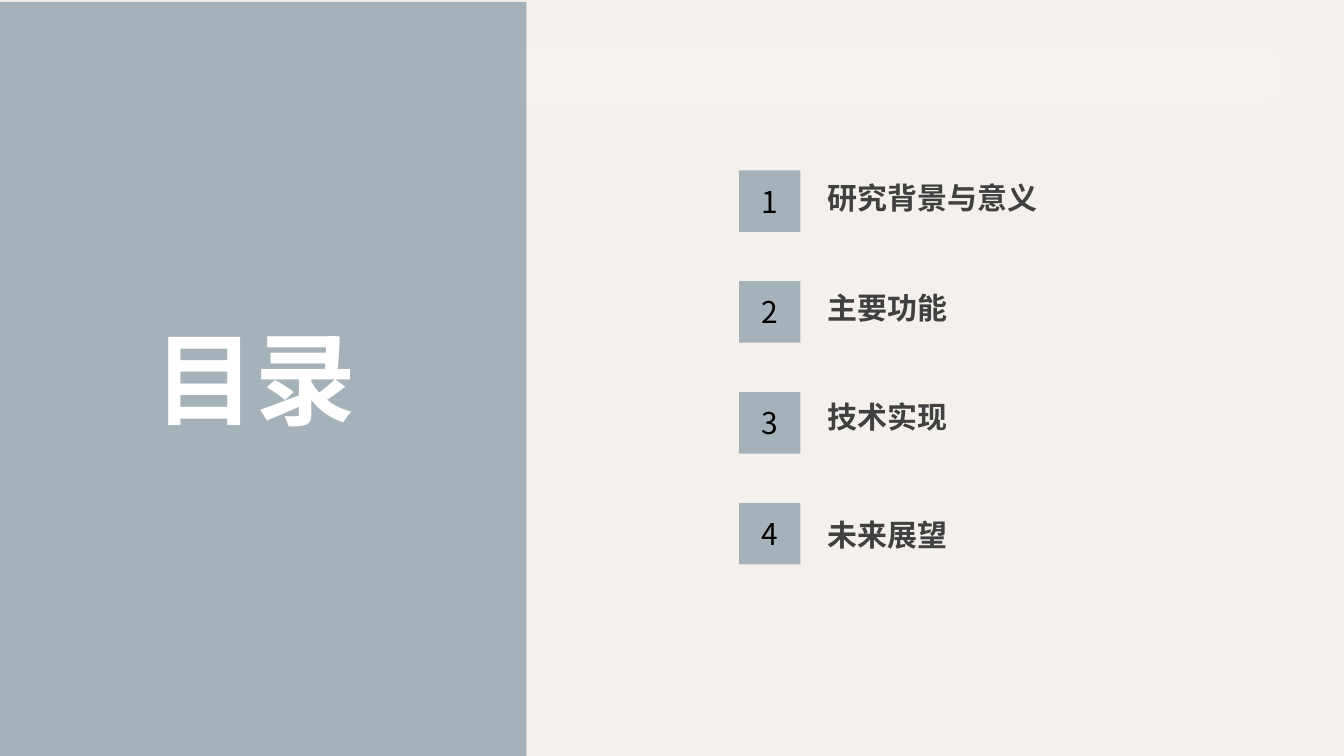
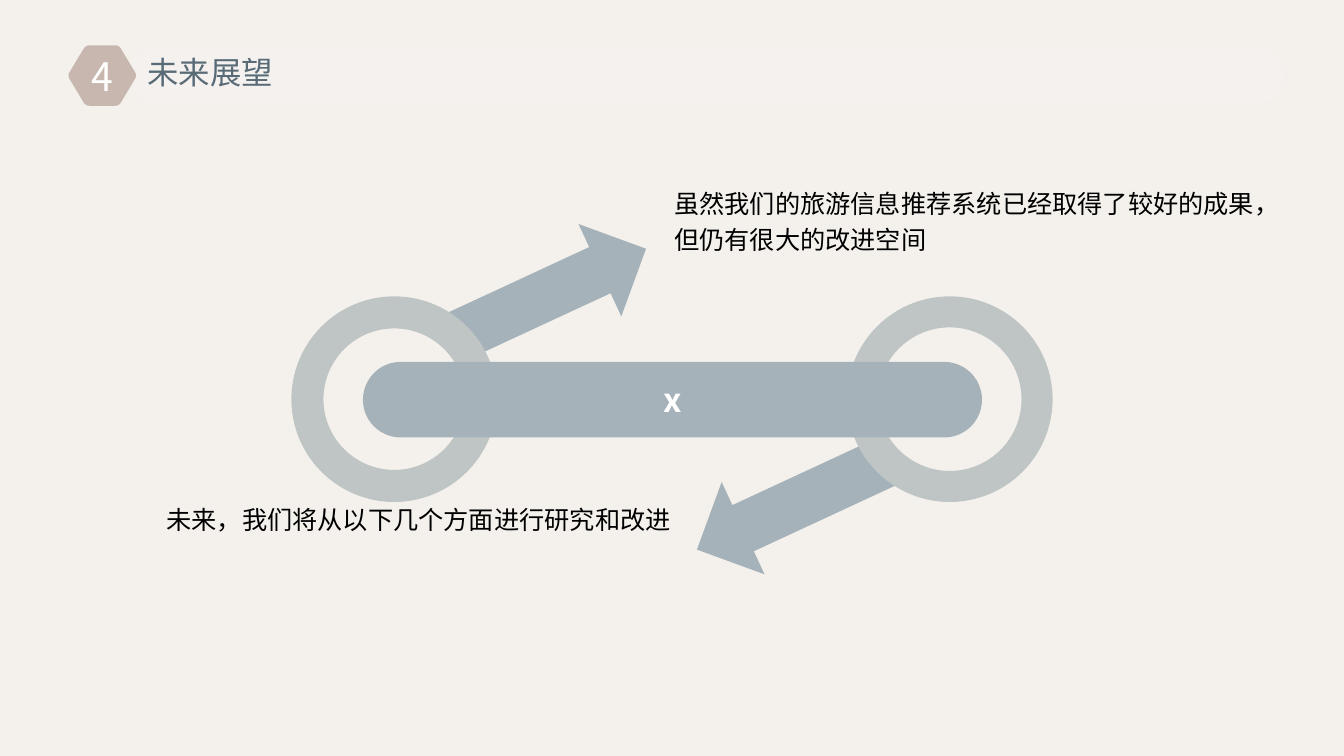
import math
from lxml import etree
from pptx import Presentation
from pptx import util as u
from pptx.dml.color import RGBColor
from pptx.enum import shapes, text
from pptx.oxml import ns

# Shared colours and font
CREAM = RGBColor(0xF4, 0xF1, 0xEC)
BAND = RGBColor(0xF4, 0xF1, 0xEF)
BLUE = RGBColor(0xA5, 0xB2, 0xBA)
SLATE = RGBColor(0x58, 0x6B, 0x76)
ROSE = RGBColor(0xC8, 0xB7, 0xAF)
GREY = RGBColor(0xBF, 0xC5, 0xC5)
DARK = RGBColor(0x40, 0x40, 0x40)
BLACK = RGBColor(0, 0, 0)
WHITE = RGBColor(255, 255, 255)
FACE = "Noto Sans CJK SC"

# Shared text styles
CENTER, RIGHT = text.PP_ALIGN.CENTER, text.PP_ALIGN.RIGHT
PAD = {"space_before": u.Pt(2), "space_after": u.Pt(2)}
BODY = {"line_spacing": 1.2, **PAD}
KIND = shapes.MSO_SHAPE


def style(item, form):
    for key, val in form.items():
        setattr(item, key, val)


def write(shape, words, size, color, bold=False, form=None, frame=None):
    """Put one styled paragraph into a shape."""
    box = shape.text_frame
    style(box, {"word_wrap": True, **(frame or {})})
    para = box.paragraphs[0]
    style(para, form or {})
    run = para.add_run()
    run.text = words
    style(run.font, {"name": FACE, "size": u.Pt(size), "bold": bold})
    run.font.color.rgb = color
    # East Asian letters take their own font entry
    props = run._r.get_or_add_rPr()
    etree.SubElement(props, ns.qn("a:ea")).set("typeface", FACE)


def paint(shape, color):
    shape.shadow.inherit = False
    shape.fill.solid()
    shape.fill.fore_color.rgb = color
    shape.line.fill.background()
    return shape


def block(slide, kind, at, color, adj=None, turn=0):
    shape = slide.shapes.add_shape(kind, *map(u.Inches, at))
    if adj is not None:
        shape.adjustments[0] = adj
    shape.rotation = turn
    shape.text_frame.vertical_anchor = text.MSO_ANCHOR.MIDDLE
    return paint(shape, color)


def label(slide, at, words, size, color, bold=False, form=None):
    box = slide.shapes.add_textbox(*map(u.Inches, at))
    write(box, words, size, color, bold, form)


def band(slide):
    return block(slide, KIND.ROUNDED_RECTANGLE, (1.28, 0.46, 11.45, 0.57), BAND, 0.5)


def badge(slide, mark):
    """Hexagon with softly rounded corners."""
    tips = [(0.67, 0.75), (0.85, 0.45), (1.18, 0.45),
            (1.36, 0.75), (1.18, 1.05), (0.85, 1.05)]
    trim, steps, dots = 0.04, 6, []
    for i, tip in enumerate(tips):
        ends = []
        for side in (tips[i - 1], tips[(i + 1) % len(tips)]):
            part = trim / math.dist(tip, side)
            ends.append([a + (b - a) * part for a, b in zip(tip, side)])
        for k in range(steps + 1):
            t = k / steps
            dots.append([u.Inches((1 - t) ** 2 * a + 2 * t * (1 - t) * b + t * t * c)
                         for a, b, c in zip(ends[0], tip, ends[1])])
    form = slide.shapes.build_freeform(*dots[0])
    form.add_line_segments(dots[1:], close=True)
    shape = paint(form.convert_to_shape(), ROSE)
    frame = {f"margin_{side}": 0 for side in ("left", "top", "right", "bottom")}
    frame["vertical_anchor"] = text.MSO_ANCHOR.MIDDLE
    write(shape, mark, 28, WHITE, form={"alignment": CENTER}, frame=frame)


def agenda(slide):
    band(slide)
    # Left panel
    block(slide, KIND.RECTANGLE, (0, 0.02, 5.22, 7.5), BLUE)
    label(slide, (0.68, 3.09, 3.71, 1.31), "目录", 72, WHITE, True,
          {"alignment": CENTER})
    # Numbered topics
    topics = [("研究背景与意义", 1.73), ("主要功能", 2.82),
              ("技术实现", 3.9), ("未来展望", 5.08)]
    for i, (words, top) in enumerate(topics):
        label(slide, (8.11, top, 3.17, 0.46), words, 21.4, DARK, True)
        tile = block(slide, KIND.RECTANGLE, (7.33, 1.69 + 1.1 * i, 0.61, 0.61), BLUE)
        write(tile, str(i + 1), 21.4, BLACK, form={"alignment": CENTER})


def outlook(slide):
    # Heading
    write(band(slide), "未来展望", 22.4, SLATE,
          form={"alignment": text.PP_ALIGN.LEFT, "line_spacing": 0.8})
    badge(slide, "4")
    # Arrows, rings and the bar that links them
    for left, top, turn in ((4.95, 1.86, 65.1), (7.36, 3.96, 245.1)):
        block(slide, KIND.UP_ARROW, (left, top, 1.01, 2.1), BLUE, turn=turn)
    for left, adj in ((2.89, 0.156), (8.4, 0.151)):
        block(slide, KIND.DONUT, (left, 2.94, 2.04, 2.04), GREY, adj)
    bar = block(slide, KIND.ROUNDED_RECTANGLE, (3.6, 3.59, 6.14, 0.75), BLUE, 0.5)
    write(bar, "x", 23.4, WHITE, True, {"alignment": CENTER, **PAD})
    # Remarks
    label(slide, (6.59, 1.76, 6.17, 0.85),
          "虽然我们的旅游信息推荐系统已经取得了较好的成果，但仍有很大的改进空间",
          18, BLACK, form=BODY)
    label(slide, (0.58, 4.89, 6.17, 0.88), "未来，我们将从以下几个方面进行研究和改进",
          18, BLACK, form={"alignment": RIGHT, **BODY})


def main():
    deck = Presentation()
    style(deck, {"slide_width": u.Inches(13.33), "slide_height": u.Inches(7.5)})
    back = deck.slide_master.background.fill
    back.solid()
    back.fore_color.rgb = CREAM
    for draw in (agenda, outlook):
        draw(deck.slides.add_slide(deck.slide_layouts[6]))
    deck.save("out.pptx")


if __name__ == "__main__":
    main()
